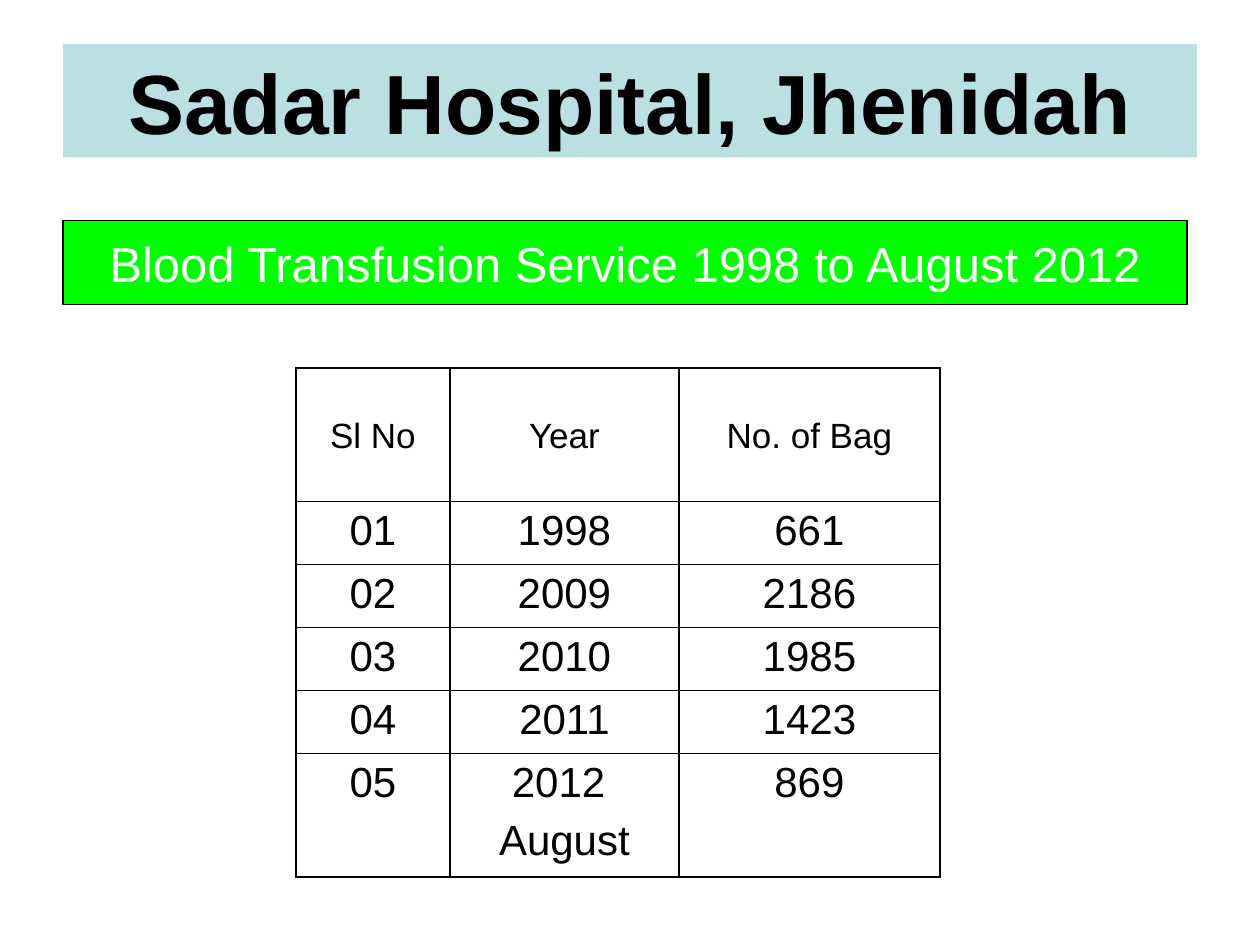
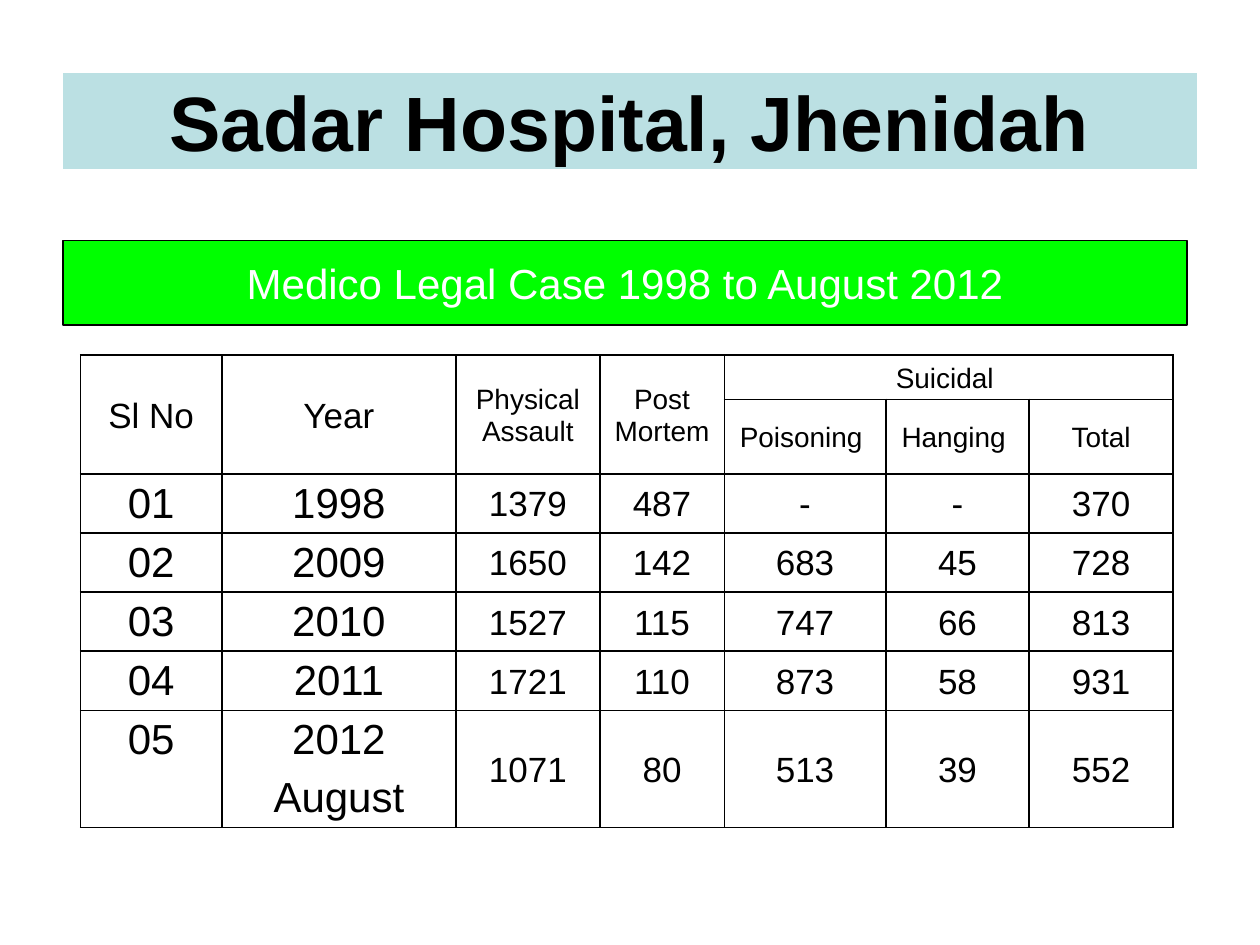
from dataclasses import dataclass

from lxml.etree import SubElement
from pptx import Presentation
from pptx.dml.color import RGBColor
from pptx.enum.shapes import MSO_SHAPE as Preset
from pptx.enum.text import MSO_ANCHOR as Anchor
from pptx.enum.text import MSO_AUTO_SIZE as AutoSize
from pptx.enum.text import PP_ALIGN as Align
from pptx.oxml.ns import qn
from pptx.util import Pt

PX = 9144


@dataclass(frozen=True)
class Theme:
    font: str = "Arial"
    ink: RGBColor = RGBColor(0x00, 0x00, 0x00)
    light: RGBColor = RGBColor(0xFF, 0xFF, 0xFF)
    title_fill: RGBColor = RGBColor(0xBB, 0xE0, 0xE3)
    banner_fill: RGBColor = RGBColor(0x00, 0xFF, 0x00)
    title_large: int = 48
    title_normal: int = 44
    banner_large: int = 28
    large: int = 24
    normal: int = 20
    small: int = 16
    paragraph_gap: int = 6
    banner_line: float = 0.75
    border: float = 1.08


THEME = Theme()


@dataclass(frozen=True)
class Box:
    left: int
    top: int
    width: int
    height: int

    def emu(self) -> tuple[int, int, int, int]:
        return self.left * PX, self.top * PX, self.width * PX, self.height * PX


@dataclass(frozen=True)
class Label:
    text: str
    box: Box
    size: int


@dataclass(frozen=True)
class Column:
    width: int
    header_size: int = THEME.normal
    body_size: int = THEME.large
    body_anchor: Anchor = Anchor.TOP


@dataclass(frozen=True)
class Merge:
    first: tuple[int, int]
    last: tuple[int, int]


@dataclass(frozen=True)
class Grid:
    left: int
    top: int
    columns: tuple[Column, ...]
    heights: tuple[int, ...]
    rows: tuple[tuple[str, ...], ...]
    header_rows: int = 1
    merges: tuple[Merge, ...] = ()


@dataclass(frozen=True)
class Report:
    title: Label
    banner: Label
    grid: Grid


def figures(width: int) -> Column:
    return Column(width, THEME.small, THEME.normal, Anchor.MIDDLE)


TITLE = "Sadar Hospital, Jhenidah"

REPORTS = (
    Report(
        Label(TITLE, Box(50, 35, 900, 90), THEME.title_large),
        Label("Blood Transfusion Service 1998 to August 2012",
              Box(50, 175, 892, 67), THEME.banner_large),
        Grid(
            235, 292,
            (Column(122), Column(182), Column(207)),
            (106, 50, 50, 50, 50, 98),
            (
                ("Sl No", "Year", "No. of Bag"),
                ("01", "1998", "661"),
                ("02", "2009", "2186"),
                ("03", "2010", "1985"),
                ("04", "2011", "1423"),
                ("05", "2012 \nAugust", "869"),
            ),
        ),
    ),
    Report(
        Label(TITLE, Box(50, 58, 900, 76), THEME.title_normal),
        Label("Medico Legal Case 1998 to August 2012",
              Box(50, 191, 892, 67), THEME.large),
        Grid(
            64, 282,
            (Column(112), Column(186), *map(figures, (114, 99, 128, 114, 114))),
            (35, 59, 47, 47, 47, 47, 93),
            (
                ("Sl No", "Year", "Physical Assault", "Post Mortem", "Suicidal ", "", ""),
                ("", "", "", "", "Poisoning ", "Hanging ", "Total"),
                ("01", "1998", "1379", "487", "-", "-", "370"),
                ("02", "2009", "1650", "142", "683", "45", "728"),
                ("03", "2010", "1527", "115", "747", "66", "813"),
                ("04", "2011", "1721", "110", "873", "58", "931"),
                ("05", "2012\nAugust", "1071", "80", "513", "39", "552"),
            ),
            header_rows=2,
            merges=(
                *(Merge((0, column), (1, column)) for column in range(4)),
                Merge((0, 4), (0, 6)),
            ),
        ),
    ),
)


def write_text(frame, text: str, size: int, color: RGBColor, bold: bool = False) -> None:
    frame.text = text
    frame.word_wrap = True
    for index, paragraph in enumerate(frame.paragraphs):
        paragraph.alignment = Align.CENTER
        paragraph.space_before = Pt(THEME.paragraph_gap if index else 0)
        paragraph.font.name = THEME.font
        paragraph.font.size = Pt(size)
        paragraph.font.bold = bold
        paragraph.font.color.rgb = color


def draw_title(slide, label: Label) -> None:
    title = slide.shapes.title
    title.left, title.top, title.width, title.height = label.box.emu()
    title.fill.solid()
    title.fill.fore_color.rgb = THEME.title_fill
    write_text(title.text_frame, label.text, label.size, THEME.ink, bold=True)
    title.text_frame.auto_size = AutoSize.NONE
    title.text_frame.vertical_anchor = Anchor.MIDDLE


def draw_banner(slide, label: Label) -> None:
    banner = slide.shapes.add_shape(Preset.RECTANGLE, *label.box.emu())
    banner.shadow.inherit = False
    banner.fill.solid()
    banner.fill.fore_color.rgb = THEME.banner_fill
    banner.line.color.rgb = THEME.ink
    banner.line.width = Pt(THEME.banner_line)
    write_text(banner.text_frame, label.text, label.size, THEME.light)
    banner.text_frame.vertical_anchor = Anchor.MIDDLE


def add_borders(cell) -> None:
    properties = cell._tc.get_or_add_tcPr()
    for side in ("a:lnL", "a:lnR", "a:lnT", "a:lnB"):
        line = SubElement(properties, qn(side), w=str(Pt(THEME.border)))
        fill = SubElement(line, qn("a:solidFill"))
        SubElement(fill, qn("a:srgbClr"), val=str(THEME.ink))


def draw_cell(cell, text: str, size: int, anchor: Anchor) -> None:
    write_text(cell.text_frame, text, size, THEME.ink)
    cell.vertical_anchor = anchor
    cell.margin_left = cell.margin_right = 10 * PX
    cell.margin_top, cell.margin_bottom = 5 * PX, 3 * PX
    add_borders(cell)
    cell.fill.background()


def draw_grid(slide, grid: Grid) -> None:
    box = Box(grid.left, grid.top,
              sum(column.width for column in grid.columns), sum(grid.heights))
    table = slide.shapes.add_table(
        len(grid.rows), len(grid.columns), *box.emu()).table
    table.first_row = table.horz_banding = False
    for table_column, column in zip(table.columns, grid.columns):
        table_column.width = column.width * PX
    for table_row, height in zip(table.rows, grid.heights):
        table_row.height = height * PX
    for row, texts in enumerate(grid.rows):
        for index, (text, column) in enumerate(zip(texts, grid.columns)):
            if row < grid.header_rows:
                size, anchor = column.header_size, Anchor.MIDDLE
            else:
                size, anchor = column.body_size, column.body_anchor
            draw_cell(table.cell(row, index), text, size, anchor)
    for merge in grid.merges:
        table.cell(*merge.first).merge(table.cell(*merge.last))


def main() -> None:
    presentation = Presentation()
    presentation.slide_width = 1000 * PX
    presentation.slide_height = 750 * PX
    title_only = presentation.slide_layouts.get_by_name("Title Only")
    for report in REPORTS:
        slide = presentation.slides.add_slide(title_only)
        draw_title(slide, report.title)
        draw_grid(slide, report.grid)
        draw_banner(slide, report.banner)
    presentation.save("out.pptx")


if __name__ == "__main__":
    main()
